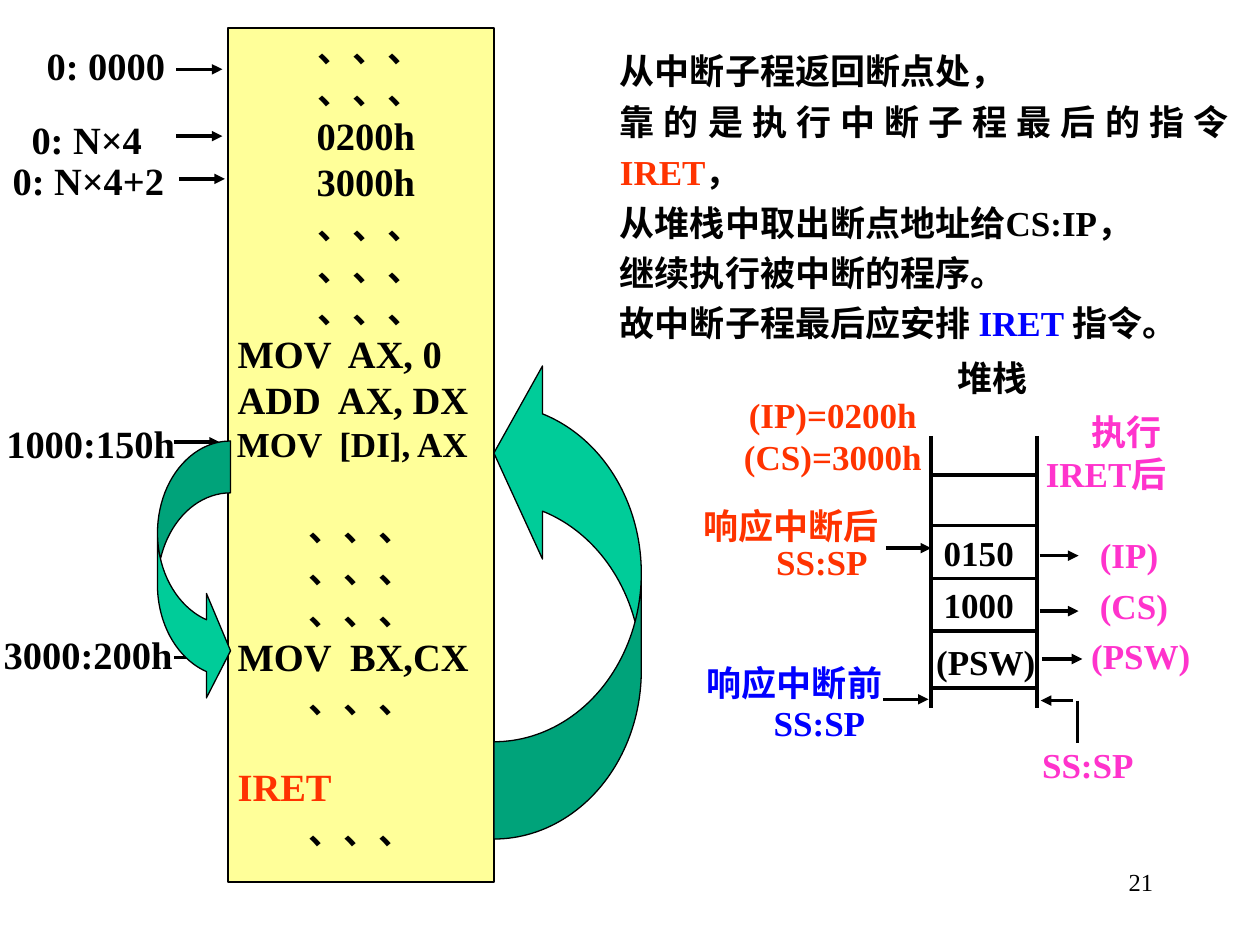
from dataclasses import dataclass

from lxml import etree
from pptx import Presentation
from pptx.dml.color import RGBColor
from pptx.enum.shapes import MSO_CONNECTOR, MSO_SHAPE
from pptx.enum.text import MSO_ANCHOR, PP_ALIGN
from pptx.oxml.ns import qn
from pptx.util import Inches, Pt

STRAIGHT = MSO_CONNECTOR.STRAIGHT
RECT = MSO_SHAPE.RECTANGLE
LEFT_BEND = MSO_SHAPE.CURVED_LEFT_ARROW
RIGHT_BEND = MSO_SHAPE.CURVED_RIGHT_ARROW
CENTER, JUSTIFY, RIGHT = PP_ALIGN.CENTER, PP_ALIGN.JUSTIFY, PP_ALIGN.RIGHT
TOP = MSO_ANCHOR.TOP
COLS, ROWS = 100, 75


@dataclass(frozen=True)
class Theme:
    ink: str = "000000"
    red: str = "FF3300"
    blue: str = "0000FF"
    pink: str = "FF33CC"
    cream: str = "FFFF99"
    green: str = "00CC99"
    latin: str = "Times New Roman"
    cjk: str = "Noto Sans CJK SC"
    body: int = 20
    code: int = 22
    small: int = 14
    lead: float = 1.2
    stroke: float = 2


THEME = Theme()


def write(para, runs, size=THEME.body, color=THEME.ink, align=JUSTIFY,
          bold=True, lead=1, before=0, indent=0):
    para.alignment = align
    para.line_spacing = Pt(round(size * THEME.lead * lead, 1))
    if before:
        para.space_before = Pt(before)
    if indent:
        para._p.get_or_add_pPr().set("marL", str(Pt(indent)))
    for item in [runs] if isinstance(runs, str) else runs:
        text, tint = (item, color) if isinstance(item, str) else item
        run = para.add_run()
        run.text = text
        font = run.font
        font.size, font.bold = Pt(size), bold
        font.color.rgb = RGBColor.from_string(tint)
        font.name = THEME.cjk if text[0] >= "⺀" else THEME.latin
        etree.SubElement(font._element, qn("a:ea"), typeface=THEME.cjk)


class Board:
    """Draws styled elements on the current slide, measured in grid columns and rows."""

    def __init__(self, deck, theme):
        self.theme = theme
        self.slide = deck.slides.add_slide(deck.slide_layouts[6])
        self.col = deck.slide_width / COLS
        self.row = deck.slide_height / ROWS

    def place(self, x, y, w, h):
        return [round(n) for n in (x * self.col, y * self.row, w * self.col, h * self.row)]

    def fill(self, shape, lines, pad=(0, 0), **style):
        frame = shape.text_frame
        frame.word_wrap = True
        frame.vertical_anchor = TOP
        frame.margin_left = frame.margin_right = Inches(pad[0])
        frame.margin_top = frame.margin_bottom = Inches(pad[1])
        for i, line in enumerate(lines):
            para = frame.add_paragraph() if i else frame.paragraphs[0]
            runs, extra = line if isinstance(line, tuple) else (line, {})
            write(para, runs, **{**style, **extra})

    def text(self, box, *lines, **style):
        self.fill(self.slide.shapes.add_textbox(*self.place(*box)), lines, **style)

    def shape(self, kind, box, color, width, ratios=(), flip=False):
        shape = self.slide.shapes.add_shape(kind, *self.place(*box))
        shape.shadow.inherit = False
        shape.fill.solid()
        shape.fill.fore_color.rgb = RGBColor.from_string(color)
        shape.line.color.rgb = RGBColor.from_string(self.theme.ink)
        shape.line.width = Pt(width)
        for i, ratio in enumerate(ratios):
            shape.adjustments[i] = ratio
        if flip:
            shape._element.spPr.xfrm.set("flipV", "1")
        return shape

    def line(self, x1, y1, x2, y2, head=False):
        ends = self.place(x1, y1, x2, y2)
        link = self.slide.shapes.add_connector(STRAIGHT, *ends)
        link.line.width = Pt(self.theme.stroke)
        link.line.color.rgb = RGBColor.from_string(self.theme.ink)
        if head:
            etree.SubElement(link.line._get_or_add_ln(), qn("a:tailEnd"), type="triangle")
        etree.SubElement(link._element.spPr, qn("a:effectLst"))


def draw_code(board):
    t = board.theme
    labels = [
        ("1000:150h", (0.5, 33.3, 14.5, 3.1)),
        ("3000:200h", (0.3, 50.1, 14.7, 4.1)),
        ("0: N×4", (2.5, 9.2, 12.5, 3.5)),
        ("0: N×4+2", (1, 12.5, 14, 4.3)),
        ("0: 0000", (3.7, 3.3, 11.3, 3)),
    ]
    for label, box in labels:
        board.text(box, label, size=t.code)
    for x, y in [(13.8, 35.1), (13.8, 52.2), (14, 10.8), (14.2, 14.2), (14, 5.5)]:
        board.line(x, y, x + 3.65, y, head=True)

    dots = "、、、"
    high = (dots, dict(align=CENTER, indent=10))
    low = (dots, dict(align=CENTER))
    gap = (dots, dict(align=CENTER, before=24))
    word = dict(size=t.code, align=CENTER, indent=5.5)
    code = dict(size=t.code, indent=5.5)
    lines = [
        high, high, ("0200h", word), ("3000h", word), high, high, high,
        ("MOV  AX, 0", code), ("ADD  AX, DX", code), ("MOV  [DI], AX", dict(indent=5)),
        gap, low, low, ("MOV  BX,CX", code), low,
        ("IRET", dict(code, color=t.red, before=24)), low,
    ]
    board.fill(board.shape(RECT, (18.1, 2.2, 21.1, 67.8), t.cream, 1), lines)


def draw_stack(board):
    t = board.theme
    for x in (73.9, 82.3):
        board.line(x, 34.6, x, 56.2)
    for y in (37.7, 41.7, 45.9, 50.1, 54.6):
        board.line(74, y, 82.4, y)
    for value, x, y in [("0150", 74.9, 42.2), ("1000", 74.9, 46.3), ("(PSW)", 74.3, 50.8)]:
        board.text((x, y, 9, 3.4), value)
    arrows = [
        (70.1, 55.5, 73.7), (70.3, 43.5, 73.9), (82.5, 48.5, 85.6),
        (82.5, 44.1, 85.6), (82.7, 52.3, 85.9), (85.2, 55.6, 82.6),
    ]
    for start, y, end in arrows:
        board.line(start, y, end, y, head=True)
    board.line(85.5, 55.6, 85.5, 59)

    board.text((75, 28.3, 7.6, 4), "堆栈", align=CENTER)
    board.text((58.9, 31.2, 14.4, 7.6), "(IP)=0200h", "(CS)=3000h",
               color=t.red, align=CENTER)
    board.text((55.8, 40, 16, 3.2), "响应中断后", color=t.red)
    board.text((61.6, 42.9, 7.9, 3.5), "SS:SP", color=t.red)
    board.text((56.1, 52.5, 14.9, 2.7), "响应中断前", color=t.blue)
    board.text((61.4, 55.7, 7.9, 3.5), "SS:SP", color=t.blue)
    board.text((83, 32.6, 12.8, 8.3), ("执行", dict(align=CENTER)), "IRET后", color=t.pink)
    board.text((86.6, 41.7, 8.4, 12.8), ("(IP)", dict(indent=5)), ("(CS)", dict(indent=5)),
               "(PSW)", color=t.pink, lead=1.2)
    board.text((82.7, 59, 9.8, 3.5), "SS:SP", color=t.pink)


def main():
    deck = Presentation()
    deck.slide_width, deck.slide_height = Inches(10), Inches(7.5)
    board = Board(deck, THEME)
    t = board.theme
    board.text((71.7, 68.3, 20.8, 5), "21", size=t.small, bold=False,
               align=RIGHT, pad=(0.1, 0.05))
    board.text(
        (49.2, 3.3, 48.3, 21.7),
        "从中断子程返回断点处，",
        (["靠的是执行中断子程最后的指令", ("IRET", t.red), "，"], {}),
        (["从堆栈中取出断点地址给", "CS:IP", "，"], {}),
        "继续执行被中断的程序。",
        (["故中断子程最后应安排 ", ("IRET ", t.blue), "指令。"], {}),
        lead=1.2,
    )
    draw_code(board)
    draw_stack(board)
    board.shape(LEFT_BEND, (39.2, 28.3, 11.7, 38.3), t.green, 0.75, (0.66, 1.31, 0.33), flip=True)
    board.shape(RIGHT_BEND, (12.5, 35, 5.8, 20.8), t.green, 0.75, (0.71, 1.43, 0.33))
    deck.save("out.pptx")


if __name__ == "__main__":
    main()
